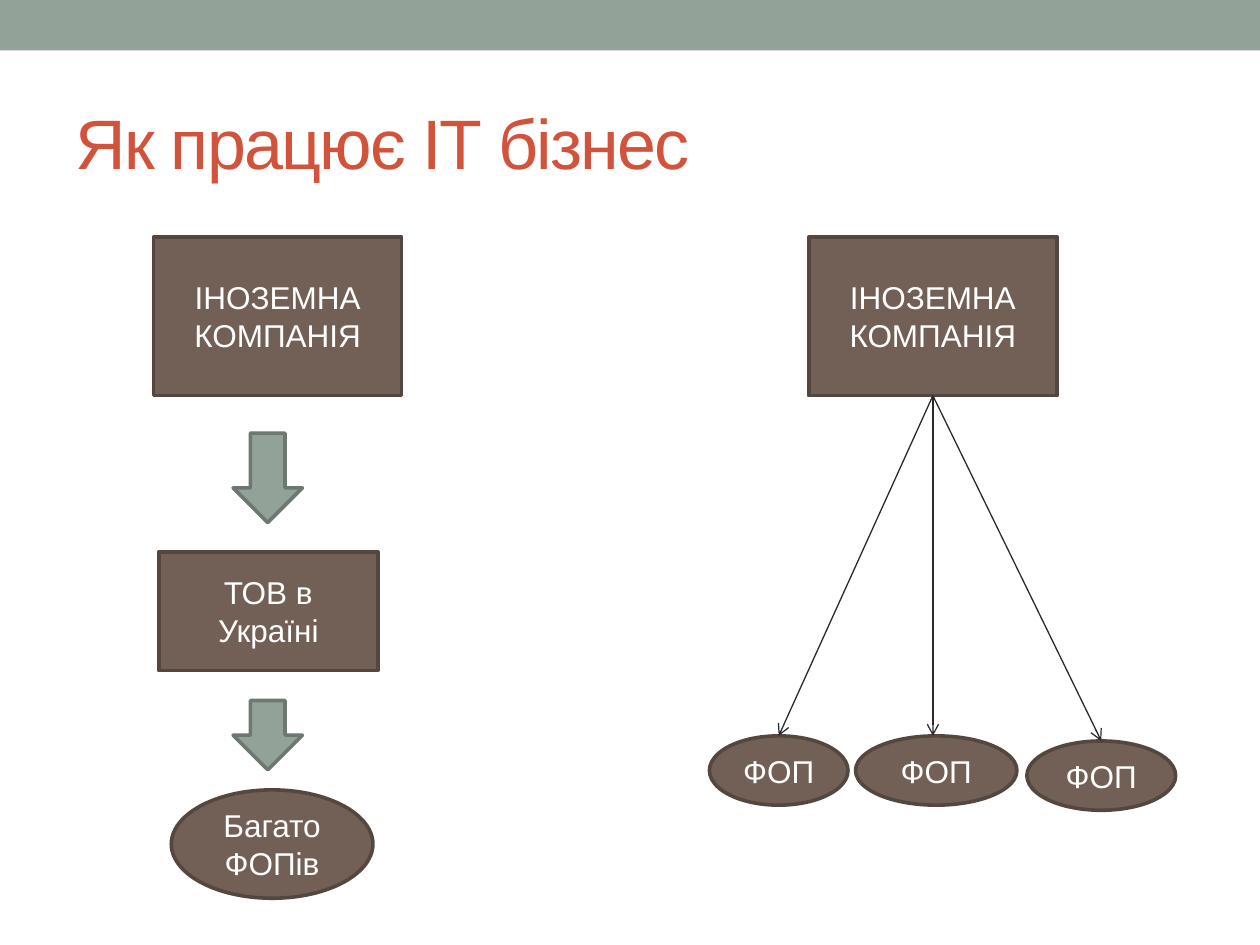
from lxml.etree import SubElement
from pptx import Presentation
from pptx.dml.color import RGBColor
from pptx.enum.shapes import MSO_CONNECTOR, MSO_SHAPE as SHP
from pptx.enum.text import MSO_ANCHOR, PP_ALIGN
from pptx.oxml.ns import qn
from pptx.util import Pt

FONT = "Arial"
SAGE, SAGE_EDGE = "93A299", "6D7871"
BROWN, BROWN_EDGE = "726056", "544740"
RED, INK, WHITE = "D2533C", "292934", "FFFFFF"

BOX_TOP, BOX_W, BOX_H = 135.4, 141.8, 90.7
FOP_H = 39.6


def rgb(color):
    return RGBColor.from_string(color)


def add_run(p, text, size, color):
    r = p.add_run()
    r.text = text
    r.font.name = FONT
    r.font.size = Pt(size)
    r.font.color.rgb = rgb(color)
    return r


def add_shape(s, kind, x, y, w, h, fill, edge=None):
    sp = s.shapes.add_shape(kind, Pt(x), Pt(y), Pt(w), Pt(h))
    sp.shadow.inherit = False
    sp.fill.solid()
    sp.fill.fore_color.rgb = rgb(fill)
    if edge:
        sp.line.color.rgb = rgb(edge)
        sp.line.width = Pt(2.08)
    else:
        sp.line.fill.background()
    return sp


def add_node(s, kind, text, x, y, w, h):
    tf = add_shape(s, kind, x, y, w, h, BROWN, BROWN_EDGE).text_frame
    tf.word_wrap = True
    tf.vertical_anchor = MSO_ANCHOR.MIDDLE
    p = tf.paragraphs[0]
    p.alignment = PP_ALIGN.CENTER
    add_run(p, text, 18, WHITE)


def add_block_arrow(s, y, h):
    add_shape(s, SHP.DOWN_ARROW, 133.2, y, 39.6, h, SAGE, SAGE_EDGE)


def add_arrow(s, x1, y1, x2, y2):
    line = s.shapes.add_connector(MSO_CONNECTOR.STRAIGHT, Pt(x1), Pt(y1), Pt(x2), Pt(y2))
    line.line.color.rgb = rgb(INK)
    line.line.width = Pt(0.75)
    SubElement(line.line._get_or_add_ln(), qn("a:tailEnd"), type="arrow")
    SubElement(line._element.spPr, qn("a:effectLst"))


def set_title(s, text):
    title = s.shapes.title
    title.left, title.top, title.width, title.height = Pt(36), Pt(41.8), Pt(648), Pt(77.8)
    tf = title.text_frame
    tf.vertical_anchor = MSO_ANCHOR.MIDDLE
    p = tf.paragraphs[0]
    p.alignment = PP_ALIGN.LEFT
    r = add_run(p, text, 40, RED)
    r.font._element.set("spc", "-100")


def add_company(s, x):
    add_node(s, SHP.RECTANGLE, "ІНОЗЕМНА КОМПАНІЯ", x, BOX_TOP, BOX_W, BOX_H)


def add_chain(s):
    """Foreign company, then a local company, then many contractors."""
    add_company(s, 87.8)
    add_block_arrow(s, 247.5, 51.1)
    add_node(s, SHP.RECTANGLE, "ТОВ в Україні", 90.7, 315.4, 125.3, 67.7)
    add_block_arrow(s, 400.3, 39.6)
    add_node(s, SHP.OVAL, "Багато ФОПів", 97.9, 451.4, 115.2, 61.9)


def add_fan(s):
    """Foreign company working with each contractor directly."""
    x = 462.2
    add_company(s, x)
    start = x + BOX_W / 2
    # left, top, width, x of the arrow tip
    contractors = [
        (405.4, 420.5, 79.2, 445),
        (488.9, 420.5, 92.2, start),
        (586.8, 423.4, 85, 629.3),
    ]
    for left, top, width, tip in contractors:
        add_node(s, SHP.OVAL, "ФОП", left, top, width, FOP_H)
        add_arrow(s, start, BOX_TOP + BOX_H, tip, top)


def main():
    prs = Presentation()
    prs.slide_width, prs.slide_height = Pt(720), Pt(540)
    s = prs.slides.add_slide(prs.slide_layouts[5])
    add_shape(s, SHP.RECTANGLE, 0, 0, 720, 28.8, SAGE)
    set_title(s, "Як працює ІТ бізнес")
    add_chain(s)
    add_fan(s)
    prs.save("out.pptx")


if __name__ == "__main__":
    main()
